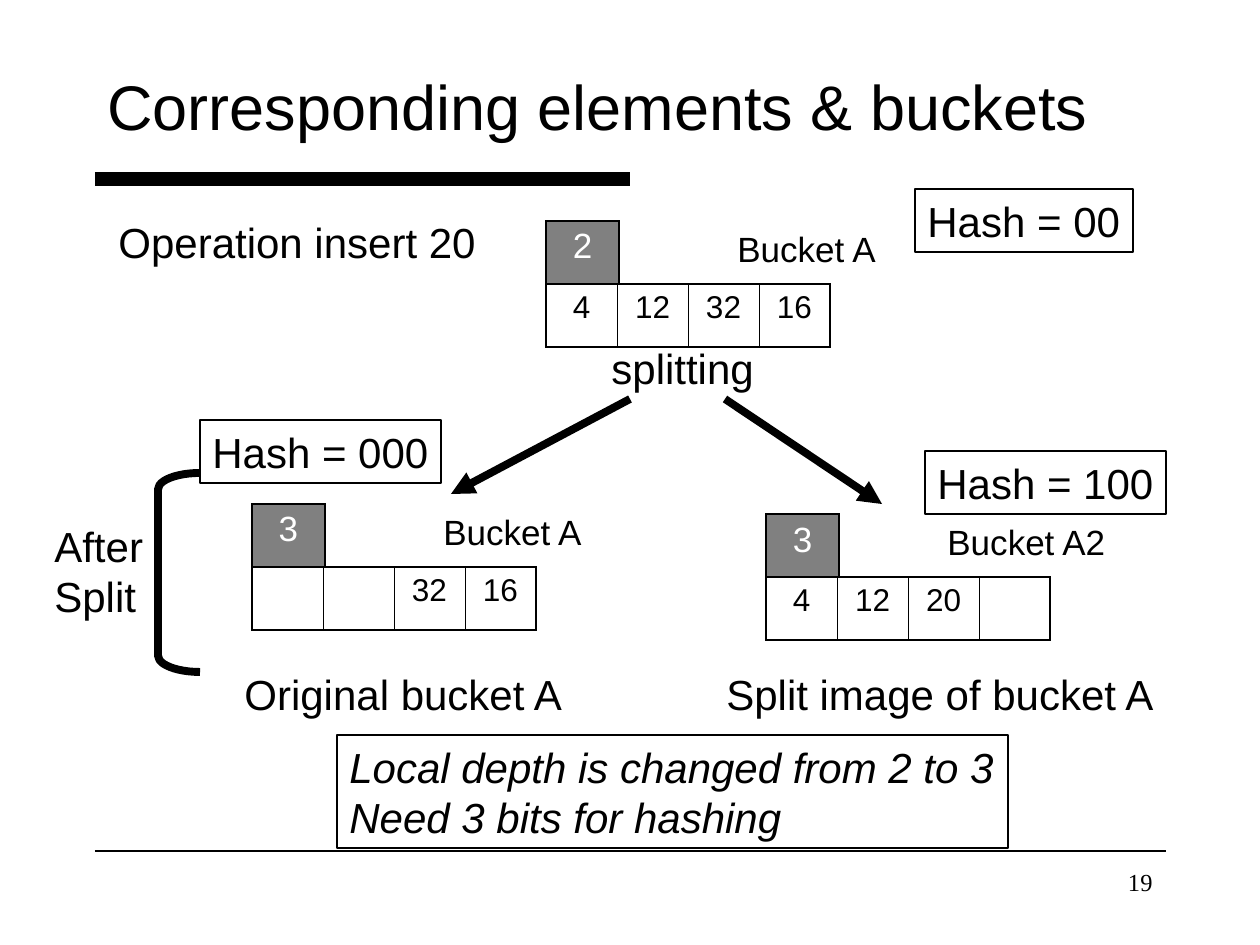
"""Build the slide on splitting a hash bucket after an insert."""
import pptx
import pptx.util
import pptx.dml.color
import pptx.enum.shapes
import pptx.enum.text
import pptx.oxml

ALIGN = pptx.enum.text.PP_ALIGN
ANCHOR = pptx.enum.text.MSO_ANCHOR
FIT = pptx.enum.text.MSO_AUTO_SIZE
SHAPE = pptx.enum.shapes.MSO_SHAPE
LINE = pptx.enum.shapes.MSO_CONNECTOR.STRAIGHT
NS = 'xmlns:a="http://schemas.openxmlformats.org/drawingml/2006/main"'
SCALE = 914400 / 126

THEME = {
    "ink": "000000", "pale": "FFFFFF", "grey": "808080",
    "sans": "Arial", "serif": "Times New Roman",
    "title": 36, "body": 24, "label": 20, "slot": 18, "page": 14,
    "edge": 1.08, "inner": 0.45, "frame": 0.75, "arrow": 4.5,
}

TITLE = ("Corresponding elements & buckets", (95, 42, 1071, 126))
PAGE = ("19", (903, 861, 262, 63))
RULES = [((95, 179), (630, 179), 8), ((95, 851), (1166, 851), 1)]
ARROWS = [((630, 399), (451, 494)), ((725, 399), (882, 504))]
BRACKET = (158, 473, 42, 199)
BUCKETS = [
    ((546, 221), "2", ["4", "12", "32", "16"], "Bucket A", (725, 165)),
    ((252, 504), "3", ["", "", "32", "16"], "Bucket A", (431, 165)),
    ((766, 514), "3", ["4", "12", "20", ""], "Bucket A2", (935, 185)),
]
NOTES = [
    ("Operation insert 20", (106, 210, 382, 63)),
    ("After\nSplit", (42, 514, 115, 113)),
    ("Original bucket A", (232, 662, 345, 63)),
    ("Split image of bucket A", (714, 662, 455, 63)),
    ("splitting", (599, 336, 168, 63)),
]
FRAMES = [
    ("Local depth is changed from 2 to 3\nNeed 3 bits for hashing", (337, 735, 671, 113), True),
    ("Hash = 00", (915, 189, 218, 63), False),
    ("Hash = 000", (200, 420, 241, 63), False),
    ("Hash = 100", (925, 451, 241, 63), False),
]
DEPTH, SLOT, ROW = 73, 71, 63


def px(*nums):
    return [round(n * SCALE) for n in nums]


def tint(name):
    return pptx.dml.color.RGBColor.from_string(THEME[name])


def put(item, vals):
    for key, val in vals.items():
        setattr(item, key, val)


def style(frame, text, size="body", ink="ink", face="sans", align=ALIGN.LEFT, slant=False):
    frame.text = text
    for para in frame.paragraphs:
        para.alignment = align
        put(para.font, {"name": THEME[face], "size": pptx.util.Pt(THEME[size]), "italic": slant})
        para.font.color.rgb = tint(ink)


def note(slide, text, box, wrap=False, anchor=ANCHOR.TOP, **look):
    shape = slide.shapes.add_textbox(*px(*box))
    fit = FIT.NONE if wrap else FIT.SHAPE_TO_FIT_TEXT
    put(shape.text_frame, {"word_wrap": wrap, "auto_size": fit, "vertical_anchor": anchor})
    style(shape.text_frame, text, **look)
    return shape


def stroke(item, width):
    item.line.color.rgb = tint("ink")
    item.line.width = pptx.util.Pt(width)


def rule(slide, start, end, width, head=False):
    link = slide.shapes.add_connector(LINE, *px(*start, *end))
    stroke(link, width)
    link._element.spPr.append(pptx.oxml.parse_xml(f"<a:effectLst {NS}/>"))
    if head:
        link.line._get_or_add_ln().append(pptx.oxml.parse_xml(f'<a:tailEnd {NS} type="triangle"/>'))


def border(cell, first, last):
    sides = {"L": "edge" if first else "inner", "R": "edge" if last else "inner",
             "T": "edge", "B": "edge"}
    props = cell._tc.get_or_add_tcPr()
    for side, kind in sides.items():
        width = round(THEME[kind] * 12700)
        props.append(pptx.oxml.parse_xml(
            f'<a:ln{side} {NS} w="{width}"><a:solidFill>'
            f'<a:srgbClr val="{THEME["ink"]}"/></a:solidFill></a:ln{side}>'))


def grid(slide, spot, texts, wide, size, ink, fill=None):
    count = len(texts)
    table = slide.shapes.add_table(1, count, *px(*spot, wide * count, ROW)).table
    put(table, {"first_row": False, "horz_banding": False})
    for num, text in enumerate(texts):
        cell = table.cell(0, num)
        style(cell.text_frame, text, size, ink, align=ALIGN.CENTER)
        border(cell, num == 0, num == count - 1)
        if fill:
            cell.fill.solid()
            cell.fill.fore_color.rgb = tint(fill)
        else:
            cell.fill.background()


def bucket(slide, spot, depth, slots, name, span):
    left, top = spot
    start, wide = span
    grid(slide, (left, top + ROW), slots, SLOT, "slot", "ink")
    grid(slide, spot, [depth], DEPTH, "label", "pale", "grey")
    note(slide, name, (start, top, wide, 55), size="label")


def brace(slide):
    shape = slide.shapes.add_shape(SHAPE.LEFT_BRACKET, *px(*BRACKET))
    shape.shadow.inherit = False
    shape.adjustments[0] = 0.39
    shape.fill.background()
    stroke(shape, THEME["arrow"])


def main():
    deck = pptx.Presentation()
    wide, high = px(1260, 945)
    put(deck, {"slide_width": wide, "slide_height": high})
    slide = deck.slides.add_slide(deck.slide_layouts[6])
    for start, end, width in RULES:
        rule(slide, start, end, width)
    note(slide, *TITLE, wrap=True, anchor=ANCHOR.MIDDLE, size="title")
    for item in BUCKETS:
        bucket(slide, *item)
    for start, end in ARROWS:
        rule(slide, start, end, THEME["arrow"], True)
    brace(slide)
    for text, box in NOTES:
        note(slide, text, box)
    for text, box, slant in FRAMES:
        stroke(note(slide, text, box, slant=slant), THEME["frame"])
    note(slide, *PAGE, wrap=True, size="page", face="serif", align=ALIGN.RIGHT)
    deck.save("out.pptx")


if __name__ == "__main__":
    main()
